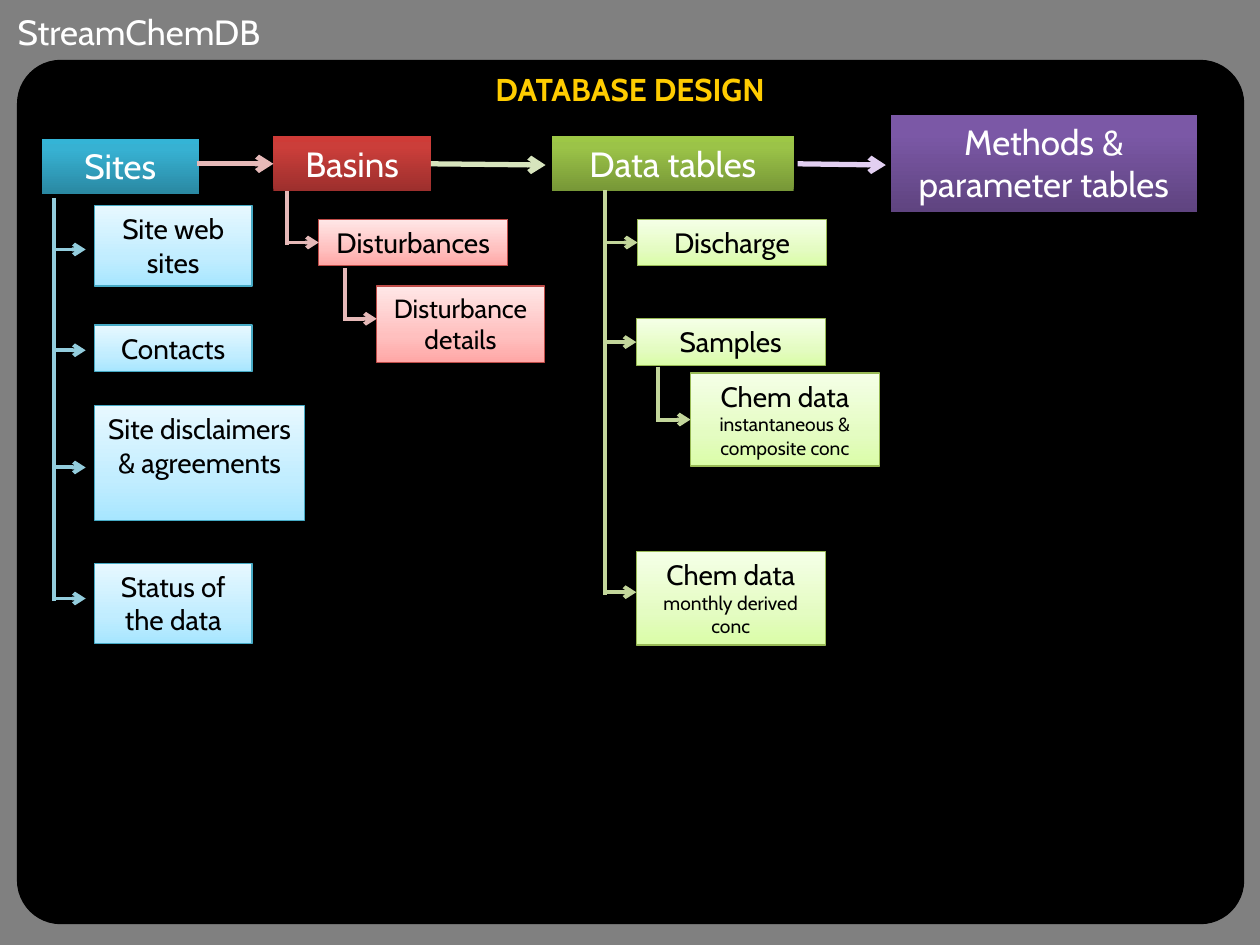
"""Build the StreamChemDB database design slide."""
from copy import deepcopy

from lxml import etree
from pptx import Presentation, util as u
from pptx.dml.color import RGBColor
from pptx.enum import shapes, text
from pptx.oxml.ns import qn

FONT = "Cabin"
COLOURS = {
    "background": "808080", "panel": "000000", "light": "FFFFFF", "dark": "000000",
    "heading": "FFCC00", "blue link": "93CDDD", "red link": "E6B9B8",
    "green link": "C3D69B", "pale green link": "D7E4BD", "purple link": "E2CFF1",
    "blue edge": "46AAC5", "red edge": "BF4C48", "green edge": "98B955",
}
HEADER_GRADIENTS = {
    "blue": ("2A88A2", "37B1D2", "34B4D6"),
    "red": ("9C2F2D", "CB3E3A", "CE3B37"),
    "green": ("779737", "9BC348", "9DC746"),
    "purple": ("5F4480", "7B58A6", "7C57A8"),
}
TABLE_GRADIENTS = {
    "blue": ("A7E6FF", "C1EDFF", "E7F8FF"),
    "red": ("FFA6A5", "FFC0BF", "FFE7E7"),
    "green": ("DAFDA7", "E4FCC2", "F5FFE7"),
}
HEADERS = [
    ("Sites", "blue", (0.33, 1.1, 1.25, 0.44)),
    ("Basins", "red", (2.17, 1.08, 1.25, 0.44)),
    ("Data tables", "green", (4.38, 1.08, 1.92, 0.44)),
    ("Methods & parameter tables", "purple", (7.07, 0.91, 2.43, 0.77)),
]
TABLES = [
    ("disturbances", "red", (2.53, 1.74, 1.5, 0.37), [("Disturbances", 16)]),
    ("details", "red", (2.99, 2.27, 1.33, 0.61), [("Disturbance details", 15)]),
    ("web sites", "blue", (0.75, 1.63, 1.25, 0.64), [("Site web sites", 16)]),
    ("contacts", "blue", (0.75, 2.58, 1.25, 0.37), [("Contacts", 16)]),
    ("disclaimers", "blue", (0.75, 3.22, 1.67, 0.91),
     [("Site disclaimers & agreements", 16)]),
    ("status", "blue", (0.75, 4.47, 1.25, 0.64), [("Status of the data", 16)]),
    ("discharge", "green", (5.06, 1.74, 1.5, 0.37), [("Discharge", 16)]),
    ("samples", "green", (5.05, 2.53, 1.5, 0.37), [("Samples", 16)]),
    ("chemistry", "green", (5.48, 2.96, 1.5, 0.74),
     [("Chem data ", 16), ("instantaneous & composite conc", 11)]),
    ("monthly", "green", (5.05, 4.38, 1.5, 0.74),
     [("Chem data ", 16), ("monthly derived conc", 11)]),
]
# Each tree: colour, trunk x, trunk top, branches as a height or a joined table.
TREES = [
    ("blue link", 0.43, 1.57, [1.98, 2.78, 3.71, 4.75]),
    ("red link", 2.28, 1.52, ["disturbances"]),
    ("red link", 2.74, 2.13, [2.53]),
    ("green link", 4.8, 1.51, ["discharge", "samples", 4.7]),
    ("green link", 5.22, 2.91, ["chemistry"]),
]
FLOWS = [
    ("red link", (1.56, 1.3), (2.16, 1.3), None, "Basins"),
    ("pale green link", (3.43, 1.3), (4.33, 1.31), "Basins", None),
    ("purple link", (6.33, 1.3), (7.03, 1.31), None, None),
]
BRANCH = 0.25
OVERLAP = 0.02


def colour(value):
    return RGBColor.from_string(COLOURS.get(value, value))


def inches(values):
    return [u.Inches(value) for value in values]


def write(shape, runs, name, align=text.PP_ALIGN.CENTER, bold=False):
    frame = shape.text_frame
    frame.word_wrap = True
    frame.auto_size = text.MSO_AUTO_SIZE.NONE
    paragraph = frame.paragraphs[0]
    paragraph.alignment = align
    for words, size in runs:
        run = paragraph.add_run()
        run.text = words
        run.font.name, run.font.size, run.font.bold = FONT, u.Pt(size), bold
        run.font.color.rgb = colour(name)


def add_shadow(shape, opacity, distance):
    shape.shadow.inherit = False
    effects = shape._element.spPr.find(qn("a:effectLst"))
    shadow = etree.SubElement(
        effects, qn("a:outerShdw"), blurRad=str(u.Pt(3.1)), dist=str(u.Pt(distance)),
        dir="5400000", rotWithShape="0")
    black = etree.SubElement(shadow, qn("a:srgbClr"), val=COLOURS["dark"])
    etree.SubElement(black, qn("a:alpha"), val=str(opacity * 1000))


def add_box(slide, place, gradient, middle_stop, edge=None):
    shape = slide.shapes.add_shape(shapes.MSO_SHAPE.RECTANGLE, *inches(place))
    shape.fill.gradient()
    shape.fill.gradient_angle = 90
    stop_list = shape._element.spPr.find(".//" + qn("a:gsLst"))
    stop_list.append(deepcopy(stop_list[0]))
    for stop, value, position in zip(
            shape.fill.gradient_stops, gradient, (0, middle_stop, 1)):
        stop.color.rgb = colour(value)
        stop.position = position
    if edge:
        shape.line.color.rgb = colour(edge)
        shape.line.width = u.Pt(0.75)
    else:
        shape.line.fill.background()
    shape.text_frame.vertical_anchor = text.MSO_ANCHOR.TOP
    return shape


def add_line(slide, start, end, name, width, arrow=True):
    line = slide.shapes.add_connector(
        shapes.MSO_CONNECTOR.STRAIGHT, *inches(start + end))
    line.line.color.rgb = colour(name)
    line.line.width = u.Pt(width)
    properties = line._element.spPr
    if arrow:
        etree.SubElement(properties.find(qn("a:ln")), qn("a:tailEnd"), type="arrow")
    etree.SubElement(properties, qn("a:effectLst"))
    return line


def add_tree(slide, boxes, name, x, top, branches):
    for branch in branches:
        box = boxes.get(branch)
        y = (box.top + box.height / 2) / u.Inches(1) if box else branch
        line = add_line(slide, (x, y), (x + BRANCH, y), name, 2.25)
        if box:
            line.end_connect(box, 1)
    add_line(slide, (x, top), (x, y + OVERLAP), name, 2.25, arrow=False)


def main():
    presentation = Presentation()
    presentation.slide_width, presentation.slide_height = inches((10, 7.5))
    slide = presentation.slides.add_slide(presentation.slide_layouts[5])
    slide.background.fill.solid()
    slide.background.fill.fore_color.rgb = colour("background")

    title = slide.shapes.title
    title.left, title.top, title.width, title.height = inches((0.04, 0.03, 9.92, 0.44))
    title.text_frame.vertical_anchor = text.MSO_ANCHOR.MIDDLE
    write(title, [("StreamChemDB", 20)], "light", text.PP_ALIGN.LEFT)

    panel = slide.shapes.add_shape(
        shapes.MSO_SHAPE.ROUNDED_RECTANGLE, *inches((0.14, 0.48, 9.73, 6.85)))
    panel.adjustments[0] = 0.05
    panel.shadow.inherit = False
    panel.fill.solid()
    panel.fill.fore_color.rgb = panel.line.color.rgb = colour("panel")
    panel.line.width = u.Pt(0.75)

    heading = slide.shapes.add_textbox(*inches((1.79, 0.51, 6.42, 0.4)))
    write(heading, [("DATABASE DESIGN", 18)], "heading", bold=True)

    boxes = {}
    for name, family, place in HEADERS:
        boxes[name] = add_box(slide, place, HEADER_GRADIENTS[family], 0.8)
        add_shadow(boxes[name], 35, 1.8)
        write(boxes[name], [(name, 20)], "light")
    for name, family, place, runs in TABLES:
        boxes[name] = add_box(
            slide, place, TABLE_GRADIENTS[family], 0.35, f"{family} edge")
        add_shadow(boxes[name], 38, 1.6)
        write(boxes[name], runs, "dark")
    details = boxes["details"].text_frame
    details.margin_left = details.margin_right = u.Inches(0.05)

    for tree in TREES:
        add_tree(slide, boxes, *tree)
    for name, start, end, source, target in FLOWS:
        line = add_line(slide, start, end, name, 3)
        if source:
            line.begin_connect(boxes[source], 3)
        if target:
            line.end_connect(boxes[target], 1)
    presentation.save("out.pptx")


if __name__ == "__main__":
    main()
